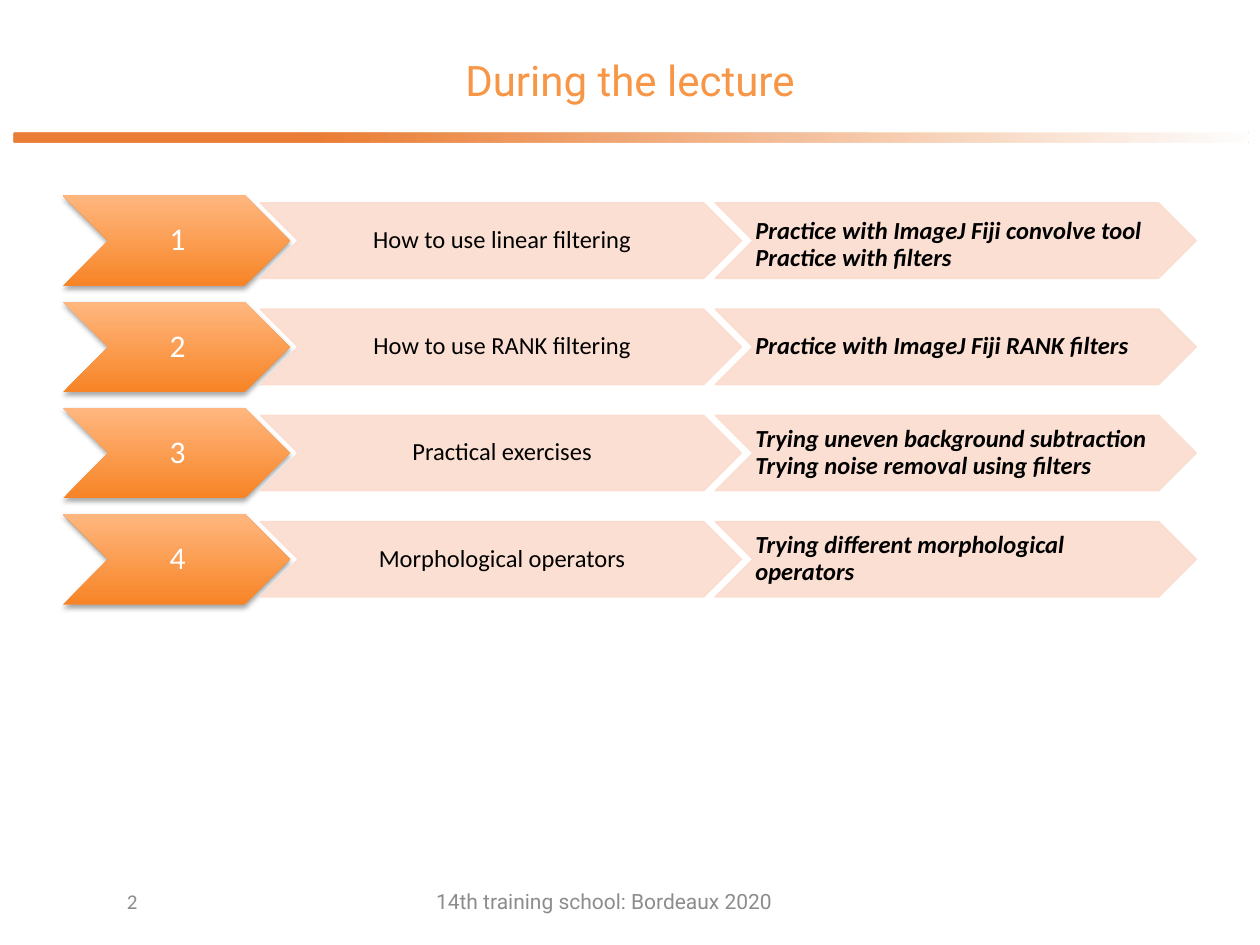
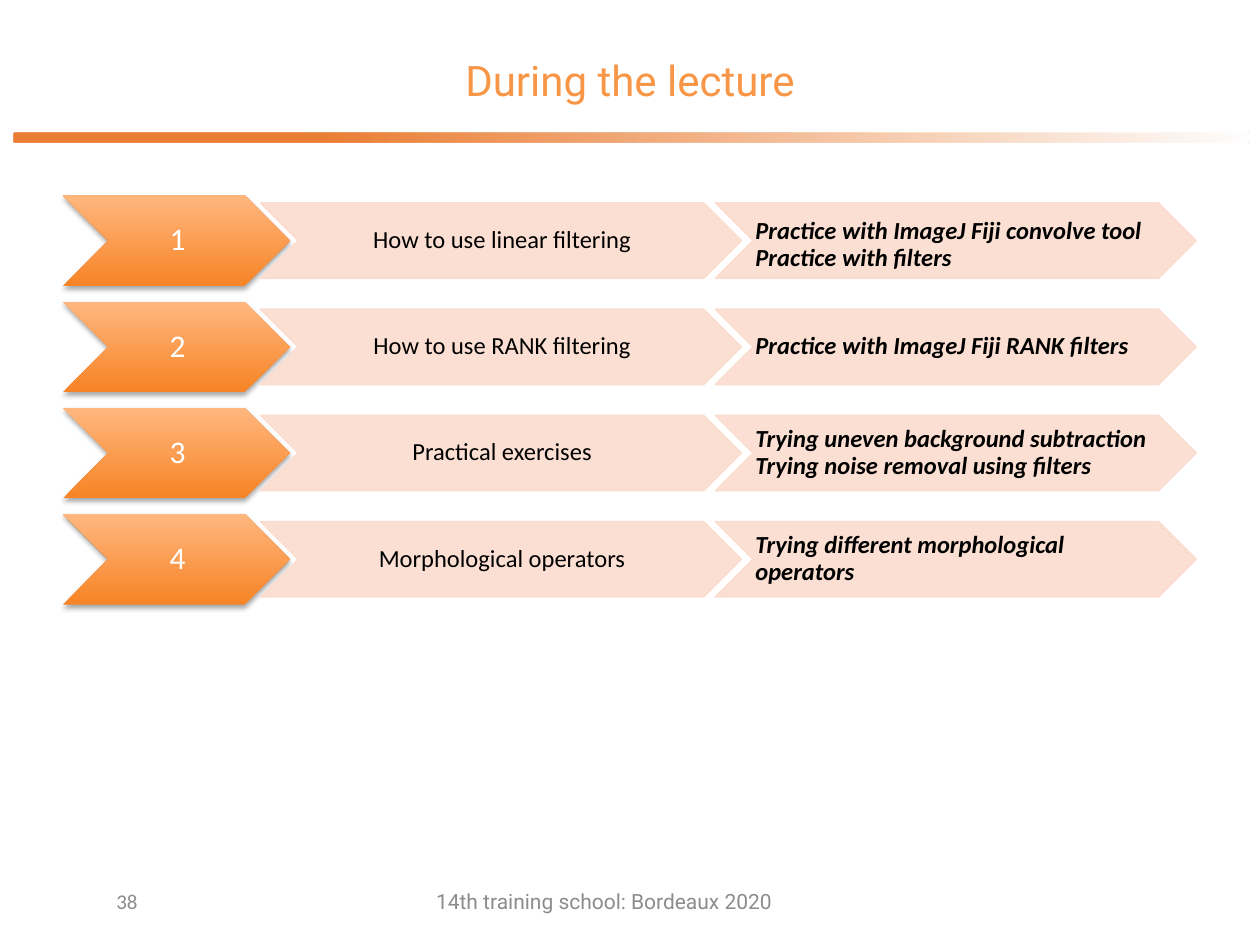
from dataclasses import dataclass
from lxml import etree
from pptx import Presentation
from pptx.dml.color import RGBColor
from pptx.enum.shapes import MSO_SHAPE
from pptx.enum.text import MSO_ANCHOR, PP_ALIGN
from pptx.oxml.ns import qn
from pptx.shapes.autoshape import Shape
from pptx.slide import Slide
from pptx.util import Inches, Pt

CHEVRON, ROUNDED = MSO_SHAPE.CHEVRON, MSO_SHAPE.ROUNDED_RECTANGLE
MIDDLE = MSO_ANCHOR.MIDDLE
LEFT, CENTER, RIGHT = PP_ALIGN.LEFT, PP_ALIGN.CENTER, PP_ALIGN.RIGHT

WIDTH, HEIGHT = Inches(10), Inches(7.5)
COL, ROW = WIDTH / 100, HEIGHT / 75


@dataclass(frozen=True)
class Type:
    size: int
    face: str
    color: str
    align: PP_ALIGN = CENTER
    strong: bool = False


@dataclass(frozen=True)
class Theme:
    title: Type = Type(24, "Roboto", "F79646")
    footer: Type = Type(12, "Roboto", "8C8C8C")
    page: Type = Type(12, "Calibri", "8C8C8C", RIGHT)
    number: Type = Type(18, "Calibri", "FFFFFF")
    topic: Type = Type(14, "Calibri", "000000")
    task: Type = Type(14, "Calibri", "000000", LEFT, True)
    band: tuple[str, str] = ("E65D00", "FFFFFF")
    badge: tuple[str, str] = ("F78426", "FFB77F")
    pale: str = "FBDCCE"
    shadow: str = "000000"


@dataclass(frozen=True)
class Box:
    x: float
    y: float
    w: float
    h: float

    def place(self) -> tuple[int, int, int, int]:
        return (round(self.x * COL), round(self.y * ROW),
                round(self.w * COL), round(self.h * ROW))


@dataclass(frozen=True)
class Step:
    topic: str
    tasks: tuple[str, ...]
    drop: float = 0


THEME = Theme()
TITLE = "During the lecture"
FOOTER = "14th training school: Bordeaux 2020"
PAGES = ("2", "38")
STEPS = (
    Step("How to use linear filtering",
         ("Practice with ImageJ Fiji convolve tool", "Practice with filters"), 0.7),
    Step("How to use RANK filtering", ("Practice with ImageJ Fiji RANK filters",)),
    Step("Practical exercises",
         ("Trying uneven background subtraction", "Trying noise removal using filters")),
    Step("Morphological operators", ("Trying different morphological operators",)),
)
TOP, PITCH = 15.5, 8.43
BADGE_X, TOPIC_X, TASK_X = 5, 20.65, 56.75
BADGE_W, BADGE_H = 18, 7.2
ARROW_W, ARROW_H = 38.2, 6


def write(shape: Shape, lines: tuple[str, ...], style: Type) -> None:
    frame = shape.text_frame
    frame.word_wrap = True
    frame.vertical_anchor = MIDDLE
    frame.text = "\n".join(lines)
    for para in frame.paragraphs:
        para.alignment = style.align
        font = para.font
        font.size, font.name = Pt(style.size), style.face
        font.bold = font.italic = style.strong
        font.color.rgb = RGBColor.from_string(style.color)


def label(slide: Slide, box: Box, text: str, style: Type) -> None:
    write(slide.shapes.add_textbox(*box.place()), (text,), style)


def block(slide: Slide, kind: MSO_SHAPE, box: Box, adjust: float) -> Shape:
    shape = slide.shapes.add_shape(kind, *box.place())
    shape.adjustments[0] = adjust
    shape.shadow.inherit = False
    shape.line.fill.background()
    return shape


def blend(shape: Shape, colors: tuple[str, str], start: float, angle: int) -> None:
    shape.fill.gradient()
    shape.fill.gradient_angle = angle
    for stop, color, place in zip(shape.fill.gradient_stops, colors, (start, 1)):
        stop.color.rgb = RGBColor.from_string(color)
        stop.position = place


def fade(shape: Shape, share: int) -> None:
    for color in shape._element.spPr.iter(qn("a:srgbClr")):
        etree.SubElement(color, qn("a:alpha"), val=str(share * 1000))


def shade(shape: Shape) -> None:
    effects = shape._element.spPr.find(qn("a:effectLst"))
    outer = etree.SubElement(effects, qn("a:outerShdw"), blurRad=str(Pt(3.1)),
                             dist=str(Pt(1.8)), dir="5400000", rotWithShape="0")
    color = etree.SubElement(outer, qn("a:srgbClr"), val=THEME.shadow)
    etree.SubElement(color, qn("a:alpha"), val="35000")


def chevron(slide: Slide, box: Box, lines: tuple[str, ...], style: Type,
            drop: float = 0) -> Shape:
    shape = block(slide, CHEVRON, box, 0.5)
    write(shape, lines, style)
    frame = shape.text_frame
    frame.margin_left, frame.margin_right = Inches(0.02), 0
    frame.margin_top = Inches(0.01) + round(drop * ROW)
    frame.margin_bottom = Inches(0.01)
    for para in frame.paragraphs:
        para.line_spacing = 0.9
    return shape


def badge(slide: Slide, y: float, number: int) -> None:
    box = Box(BADGE_X, y, BADGE_W, BADGE_H)
    shape = chevron(slide, box, (str(number),), THEME.number)
    blend(shape, THEME.badge, 0, 90)
    shade(shape)


def arrow(slide: Slide, x: float, y: float, lines: tuple[str, ...], style: Type,
          drop: float = 0) -> None:
    box = Box(x, y + (BADGE_H - ARROW_H) / 2, ARROW_W, ARROW_H)
    shape = chevron(slide, box, lines, style, drop)
    pale = RGBColor.from_string(THEME.pale)
    shape.fill.solid()
    shape.fill.fore_color.rgb = pale
    shape.line.color.rgb = pale
    shape.line.width = Pt(0.75)
    fade(shape, 90)


def frame_page(slide: Slide, page: str) -> None:
    band = block(slide, ROUNDED, Box(1.1, 10.5, 98, 0.8), 0.17)
    blend(band, THEME.band, 0.25, 0)
    fade(band, 79)
    label(slide, Box(5, 3, 90, 6.6), TITLE, THEME.title)
    label(slide, Box(11.9, 69.5, 72.1, 4), FOOTER, THEME.footer)
    label(slide, Box(5, 69.6, 6.9, 3.9), page, THEME.page)


def main() -> None:
    deck = Presentation()
    deck.slide_width, deck.slide_height = WIDTH, HEIGHT
    for page in PAGES:
        slide = deck.slides.add_slide(deck.slide_layouts[6])
        frame_page(slide, page)
        for index, step in enumerate(STEPS):
            y = TOP + index * PITCH
            badge(slide, y, index + 1)
            arrow(slide, TOPIC_X, y, (step.topic,), THEME.topic)
            arrow(slide, TASK_X, y, step.tasks, THEME.task, step.drop)
    deck.save("out.pptx")


if __name__ == "__main__":
    main()
